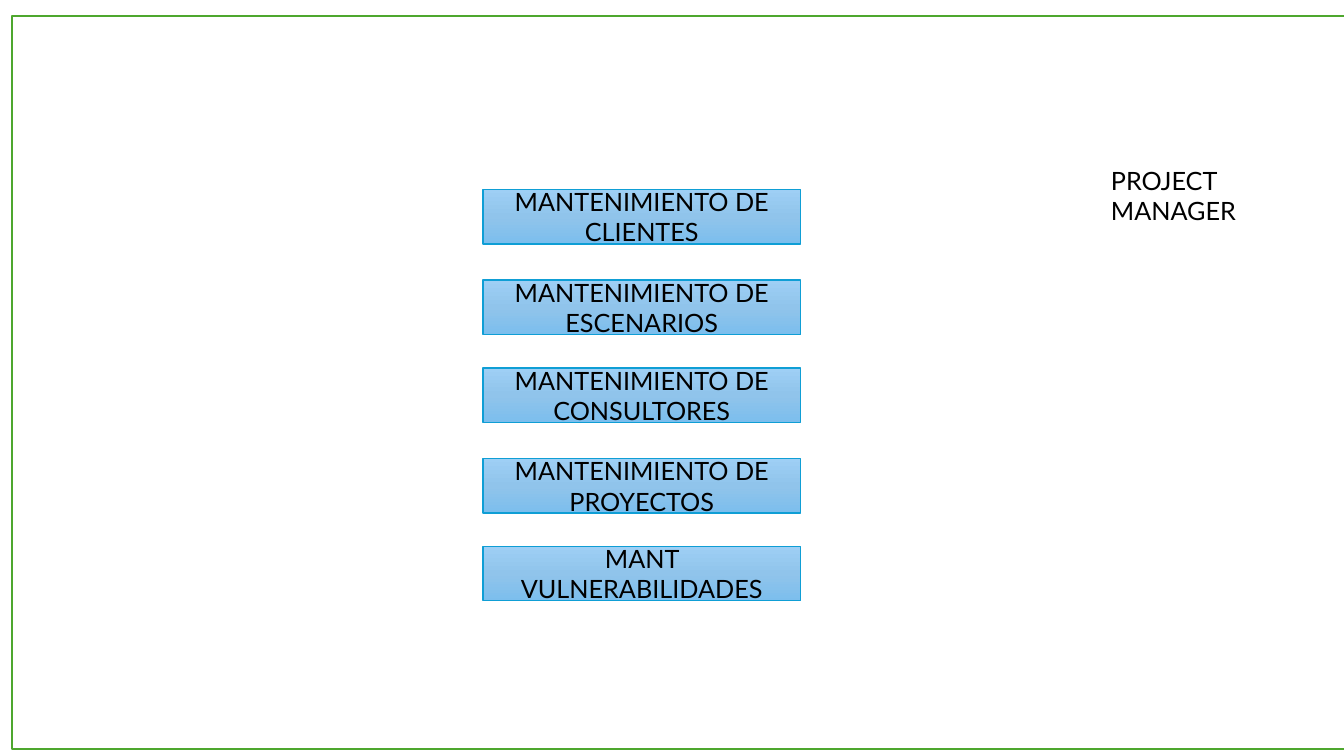
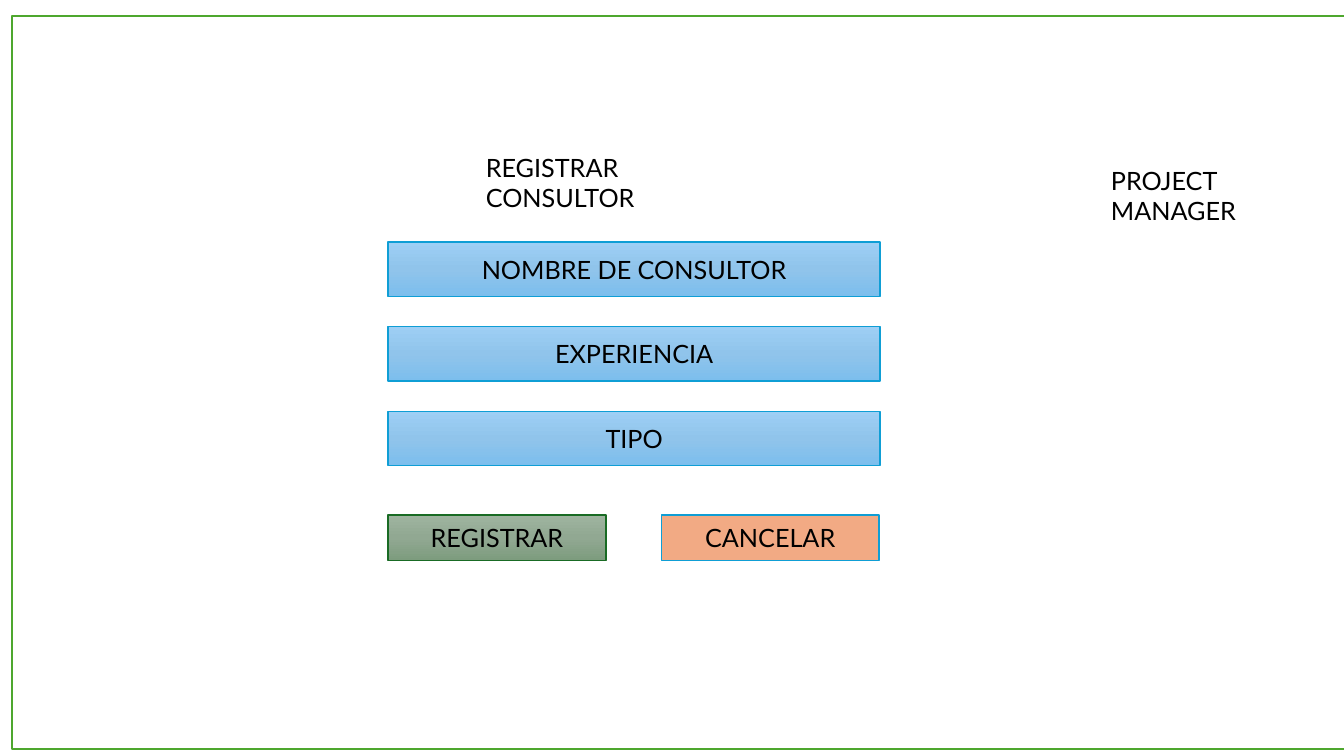
"""Build two interface sketches: the maintenance menu and the consultant form."""
from copy import deepcopy
from dataclasses import dataclass

from pptx import Presentation
from pptx.dml.color import RGBColor
from pptx.enum.shapes import MSO_SHAPE as Preset
from pptx.enum.text import MSO_ANCHOR as Anchor, MSO_AUTO_SIZE as AutoSize, PP_ALIGN as Align
from pptx.oxml.ns import qn
from pptx.util import Emu, Pt

FONT = "Lato"
FONT_SIZE = Pt(18)
EMU_PER_PX = 9144

BLACK = RGBColor(0x00, 0x00, 0x00)
WHITE = RGBColor(0xFF, 0xFF, 0xFF)
FRAME_GREEN = RGBColor(0x4E, 0xA7, 0x2E)
BLUE_LINE = RGBColor(0x0F, 0x9E, 0xD5)
GREEN_LINE = RGBColor(0x19, 0x6B, 0x24)
ORANGE = RGBColor(0xF2, 0xAA, 0x84)
BLUES = (RGBColor(0x9E, 0xCF, 0xF5), RGBColor(0x90, 0xC4, 0xEB), RGBColor(0x7C, 0xBE, 0xED))
GREENS = (RGBColor(0x9E, 0xB4, 0x9F), RGBColor(0x91, 0xA8, 0x92), RGBColor(0x7D, 0x9C, 0x7E))


@dataclass(frozen=True)
class Area:
    left: int
    top: int
    width: int
    height: int

    def emu(self) -> tuple[Emu, ...]:
        return tuple(px(value) for value in (self.left, self.top, self.width, self.height))


@dataclass(frozen=True)
class Button:
    text: str
    area: Area
    colours: tuple[RGBColor, ...] = BLUES
    line: RGBColor = BLUE_LINE


@dataclass(frozen=True)
class Label:
    text: str
    area: Area


FRAME = Area(12, 16, 1322, 727)
ROLE = Label("PROJECT MANAGER", Area(1092, 159, 238, 40))
FORM_TITLE = Label("REGISTRAR CONSULTOR", Area(472, 146, 291, 40))

MENU_ROWS = (
    ("MANTENIMIENTO DE CLIENTES", 188),
    ("MANTENIMIENTO DE ESCENARIOS", 278),
    ("MANTENIMIENTO DE CONSULTORES", 365),
    ("MANTENIMIENTO DE PROYECTOS", 455),
    ("MANT VULNERABILIDADES", 542),
)
MENU = [Button(text, Area(479, top, 315, 54)) for text, top in MENU_ROWS]

FIELD_NAMES = ("NOMBRE DE CONSULTOR", "EXPERIENCIA", "TIPO")
FIELDS = [
    Button(text, Area(385, 240 + 84 * row, 488, 54)) for row, text in enumerate(FIELD_NAMES)
]
ACTIONS = [
    Button("REGISTRAR", Area(385, 511, 216, 45), GREENS, GREEN_LINE),
    Button("CANCELAR", Area(656, 511, 216, 45), (ORANGE,)),
]


def px(value: int) -> Emu:
    return Emu(value * EMU_PER_PX)


def fill_shape(shape, colours: tuple[RGBColor, ...]) -> None:
    if len(colours) == 1:
        shape.fill.solid()
        shape.fill.fore_color.rgb = colours[0]
        return
    shape.fill.gradient()
    shape.fill.gradient_angle = 270
    stop_list = next(shape._element.spPr.iter(qn("a:gsLst")))
    while len(stop_list) < len(colours):
        stop_list.insert(1, deepcopy(stop_list[0]))
    for index, (stop, colour) in enumerate(zip(shape.fill.gradient_stops, colours)):
        stop.color.rgb = colour
        stop.position = index / (len(colours) - 1)


def add_box(page, area: Area, colours: tuple[RGBColor, ...], line: RGBColor, weight: float):
    box = page.shapes.add_shape(Preset.RECTANGLE, *area.emu())
    box.shadow.inherit = False
    fill_shape(box, colours)
    box.line.color.rgb = line
    box.line.width = Pt(weight)
    return box


def write(frame, text: str, align: Align) -> None:
    frame.word_wrap = True
    para = frame.paragraphs[0]
    para.text = text
    para.alignment = align
    para.font.name = FONT
    para.font.size = FONT_SIZE
    para.font.color.rgb = BLACK


def add_button(page, button: Button) -> None:
    box = add_box(page, button.area, button.colours, button.line, 1)
    box.text_frame.vertical_anchor = Anchor.MIDDLE
    write(box.text_frame, button.text, Align.CENTER)


def add_label(page, label: Label) -> None:
    frame = page.shapes.add_textbox(*label.area.emu()).text_frame
    frame.auto_size = AutoSize.SHAPE_TO_FIT_TEXT
    write(frame, label.text, Align.LEFT)


def add_page(deck, labels: list[Label], buttons: list[Button]) -> None:
    page = deck.slides.add_slide(deck.slide_layouts[6])
    add_box(page, FRAME, (WHITE,), FRAME_GREEN, 1.5)
    for label in labels:
        add_label(page, label)
    for button in buttons:
        add_button(page, button)


def main() -> None:
    deck = Presentation()
    deck.slide_width = px(1333)
    deck.slide_height = px(750)
    add_page(deck, [ROLE], MENU)
    add_page(deck, [ROLE, FORM_TITLE], FIELDS + ACTIONS)
    deck.save("out.pptx")


if __name__ == "__main__":
    main()
